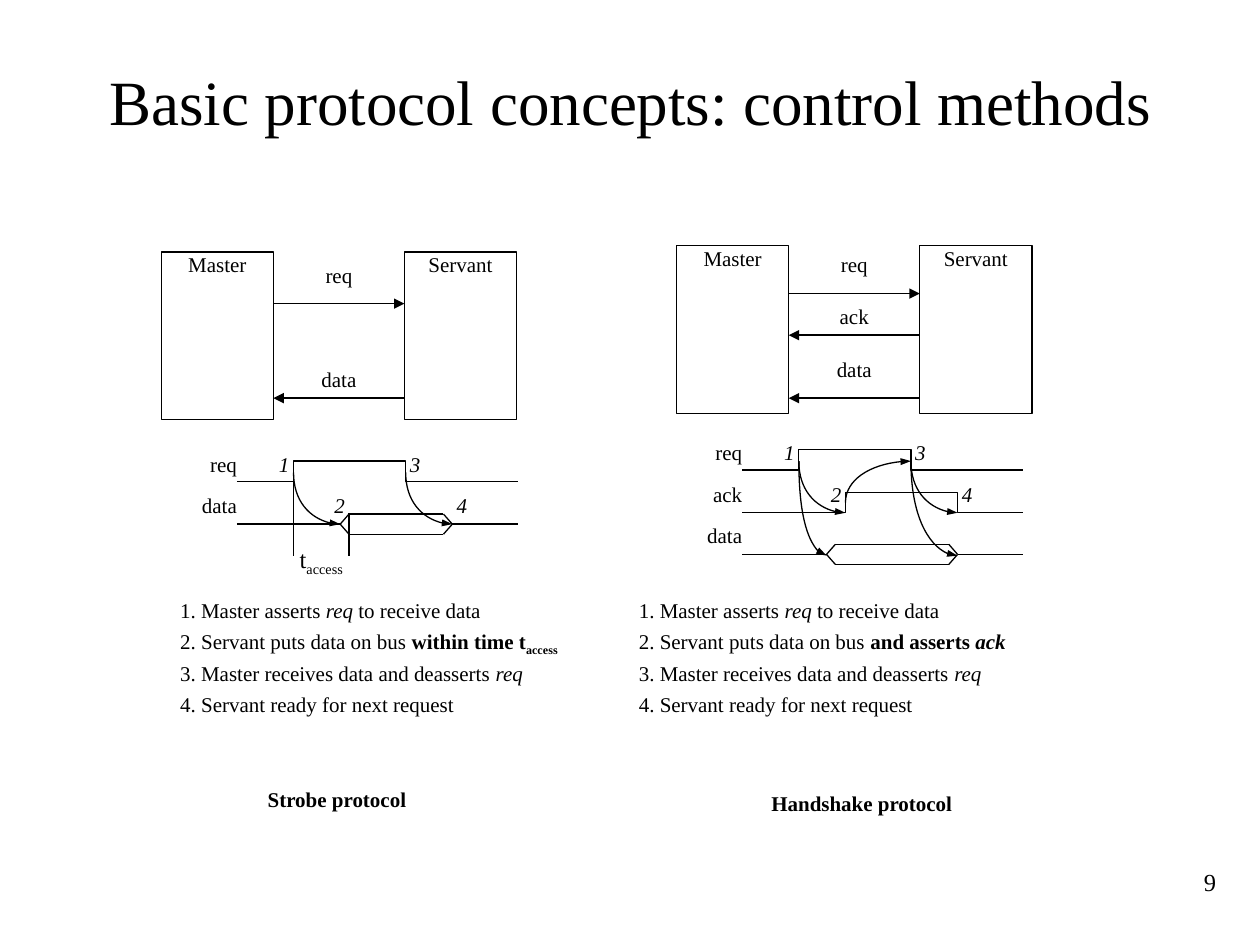
import pptx
import pptx.dml.color
import pptx.enum.shapes
import pptx.enum.text
import pptx.oxml
import pptx.oxml.ns
import pptx.util

Inches = pptx.util.Inches
Pt = pptx.util.Pt
ALIGN = pptx.enum.text.PP_ALIGN
ANCHOR = pptx.enum.text.MSO_ANCHOR
KIND = pptx.enum.shapes
qn = pptx.oxml.ns.qn
BLACK = pptx.dml.color.RGBColor(0, 0, 0)
WHITE = pptx.dml.color.RGBColor(255, 255, 255)
FACE = "Times New Roman"
WIDE, HIGH = 0.89, 1.33
FAR = 1.93
ROW = 0.33
LEFT, RISE, FALL, RIGHT = 0.45, 0.9, 1.79, 2.68
REPLY, DONE = 1.27, 2.16


def fill_text(shape, runs, align=ALIGN.CENTER, size=12, inset=(0, 0)):
    """Put one paragraph of (text, style) runs; styles are b, i and s."""
    frame = shape.text_frame
    frame.word_wrap = True
    frame.margin_left = frame.margin_right = Inches(inset[0])
    frame.margin_top = frame.margin_bottom = Inches(inset[1])
    frame.vertical_anchor = ANCHOR.TOP
    para = frame.paragraphs[0]
    para.alignment = align
    para.font.name = FACE
    para.font.size = Pt(size)
    para.font.color.rgb = BLACK
    for text, style in runs:
        run = para.add_run()
        run.text = text
        if "b" in style:
            run.font.bold = True
        if "i" in style:
            run.font.italic = True
        if "s" in style:
            run._r.get_or_add_rPr().set("baseline", "-25000")
    return frame


def add_text(slide, x, y, w, h, runs, **look):
    """Add a text box with one paragraph."""
    box = slide.shapes.add_textbox(Inches(x), Inches(y), Inches(w), Inches(h))
    return fill_text(box, runs, **look)


def set_line(shape, weight=0.75, head=None):
    """Draw the outline in black, with an arrowhead of given width at its end."""
    shape.line.color.rgb = BLACK
    shape.line.width = Pt(weight)
    if head:
        tip = pptx.oxml.parse_xml(
            f'<a:tailEnd {pptx.oxml.ns.nsdecls("a")} type="triangle" w="{head}" len="med"/>')
        shape.line._get_or_add_ln().append(tip)


def add_line(slide, x1, y1, x2, y2, weight=0.75, head=None):
    """Add a straight line."""
    line = slide.shapes.add_connector(
        KIND.MSO_CONNECTOR.STRAIGHT, Inches(x1), Inches(y1), Inches(x2), Inches(y2))
    set_line(line, weight, head)
    line._element.spPr.append(
        pptx.oxml.parse_xml(f'<a:effectLst {pptx.oxml.ns.nsdecls("a")}/>'))


def add_path(slide, points, head=None):
    """Add an open, unfilled outline through the points."""
    spots = [(Inches(x), Inches(y)) for x, y in points]
    maker = slide.shapes.build_freeform(*spots[0])
    maker.add_line_segments(spots[1:], close=False)
    path = maker.convert_to_shape()
    path.shadow.inherit = False
    path.fill.background()
    set_line(path, head=head)
    return path


def add_arc(slide, x1, y1, x2, y2):
    """Add a quarter ellipse that leaves upright and arrives level."""
    bend = 0.55
    mid = [(x1, y1 + bend * (y2 - y1)), (x2 - bend * (x2 - x1), y2)]
    arc = add_path(slide, [(x1, y1), *mid, (x2, y2)], head="sm")
    track = next(arc._element.iter(qn("a:path")))
    curve = pptx.oxml.parse_xml(f'<a:cubicBezTo {pptx.oxml.ns.nsdecls("a")}/>')
    for step in track.findall(qn("a:lnTo")):
        curve.append(step[0])
        track.remove(step)
    track.append(curve)


def add_link(slide, x, y, wires):
    """Draw master and servant with wires of (name, label y, line y, way, weight)."""
    for name, dx in (("Master", 0), ("Servant", FAR)):
        box = slide.shapes.add_shape(
            KIND.MSO_SHAPE.RECTANGLE, Inches(x + dx), Inches(y), Inches(WIDE), Inches(HIGH))
        box.shadow.inherit = False
        box.fill.solid()
        box.fill.fore_color.rgb = WHITE
        set_line(box)
        fill_text(box, [(name, "")])
    for name, top, level, way, weight in wires:
        ends = (x + WIDE, x + FAR)[::way]
        add_line(slide, ends[0], y + level, ends[1], y + level, weight, "med")
        add_text(slide, x + 1.04, y + top, 0.74, ROW, [(name, "")])


def add_wave(slide, x, y, rise, fall):
    """Draw a pulse whose low level lies at y."""
    add_path(slide, [(x + LEFT, y), (x + rise, y), (x + rise, y - 0.16),
                     (x + fall, y - 0.16), (x + fall, y), (x + RIGHT, y)])


def add_bus(slide, x, y, start):
    """Draw a bus that is valid from start until done."""
    tip, half = 0.07, 0.08
    add_line(slide, x + LEFT, y, x + start, y)
    add_line(slide, x + DONE, y, x + RIGHT, y)
    for side in (y - half, y + half):
        add_line(slide, x + start, y, x + start + tip, side)
        add_line(slide, x + start + tip, side, x + DONE - tip, side)
        add_line(slide, x + DONE - tip, side, x + DONE, y)


def add_timing(slide, x, y, names, start, second, arcs):
    """Draw the signal rows, their step numbers and the cause arrows."""
    for row, name in enumerate(names):
        add_text(slide, x, y + row * ROW, 0.45, ROW, [(name, "")], align=ALIGN.RIGHT)
    add_wave(slide, x, y + 0.24, RISE, FALL)
    if "ack" in names:
        add_wave(slide, x, y + 0.58, REPLY, DONE)
    add_bus(slide, x, y + 0.25 + ROW * (len(names) - 1), start)
    for step, (dx, row) in enumerate([(0.75, 0), (second, 1), (FALL, 0), (DONE, 1)], 1):
        add_text(slide, x + dx, y + row * ROW, 0.15, 0.25, [(str(step), "i")])
    for x1, y1, x2, y2 in [(RISE, 0.17, REPLY, 0.58), (FALL, 0.17, DONE, 0.58), *arcs]:
        add_arc(slide, x + x1, y + y1, x + x2, y + y2)


def add_access(slide, x, y):
    """Mark the access time below the strobe timing."""
    add_line(slide, x + RISE, y + 0.24, x + RISE, y + 0.83)
    add_line(slide, x + 1.34, y + 0.49, x + 1.34, y + 0.83)
    add_text(slide, x + 0.75, y + 0.74, 0.74, ROW, [("t", ""), ("access", "s")], size=14)


def add_steps(slide, x, y, extra):
    """List the four steps, with the extra runs ending the second."""
    steps = [
        [("1. Master asserts ", ""), ("req", "i"), (" to receive data", "")],
        [("2. Servant puts data on bus ", ""), *extra],
        [("3. Master receives data and deasserts ", ""), ("req", "i")],
        [("4. Servant ready for next request", "")],
    ]
    for row, runs in enumerate(steps):
        add_text(slide, x, y + row * 0.25, 3.42, ROW, runs, align=ALIGN.LEFT)


def add_frame(slide):
    """Add the title and the slide number."""
    title = add_text(slide, 0.42, 0.17, 9.17, 1.25,
                     [("Basic protocol concepts: control methods", "")],
                     size=36, inset=(0, 0.05))
    title.vertical_anchor = ANCHOR.MIDDLE
    add_text(slide, 8.75, 6.83, 1, 0.5, [("9", "")],
             align=ALIGN.RIGHT, size=14, inset=(0.1, 0.05))


def add_strobe(slide, x, y):
    """Draw the strobe protocol."""
    add_link(slide, x, y, [("req", 0.08, 0.41, 1, 0.75), ("data", 0.91, 1.16, -1, 1.5)])
    add_timing(slide, x + 0.15, y + 1.58, ["req", "data"], REPLY, 1.19, [])
    add_access(slide, x + 0.15, y + 1.58)
    add_steps(slide, x + 0.15, y + 2.74, [("within time t", "b"), ("access", "bs")])
    add_text(slide, x + 0.53, y + 4.24, 1.73, 0.28, [("Strobe protocol", "b")])


def add_shake(slide, x, y):
    """Draw the handshake protocol."""
    add_link(slide, x, y, [("req", 0.05, 0.38, 1, 0.75), ("ack", 0.46, 0.71, -1, 0.75),
                           ("data", 0.88, 1.21, -1, 1.5)])
    add_timing(slide, x + 0.07, y + 1.54, ["req", "ack", "data"], 1.12, 1.12,
               [(RISE, 0.17, 1.12, 0.92), (FALL, 0.17, DONE, 0.92),
                (REPLY, 0.5, FALL, 0.17)])
    add_steps(slide, x - 0.3, y + 2.79, [("and asserts ", "b"), ("ack", "bi")])
    add_text(slide, x + 0.36, y + 4.32, 2.22, 0.25, [("Handshake protocol", "b")])


def main():
    """Build and save the slide."""
    deck = pptx.Presentation()
    deck.slide_width = Inches(10)
    deck.slide_height = Inches(7.5)
    slide = deck.slides.add_slide(deck.slide_layouts[6])
    add_frame(slide)
    add_strobe(slide, 1.28, 2)
    add_shake(slide, 5.37, 1.95)
    deck.save("out.pptx")


if __name__ == "__main__":
    main()
